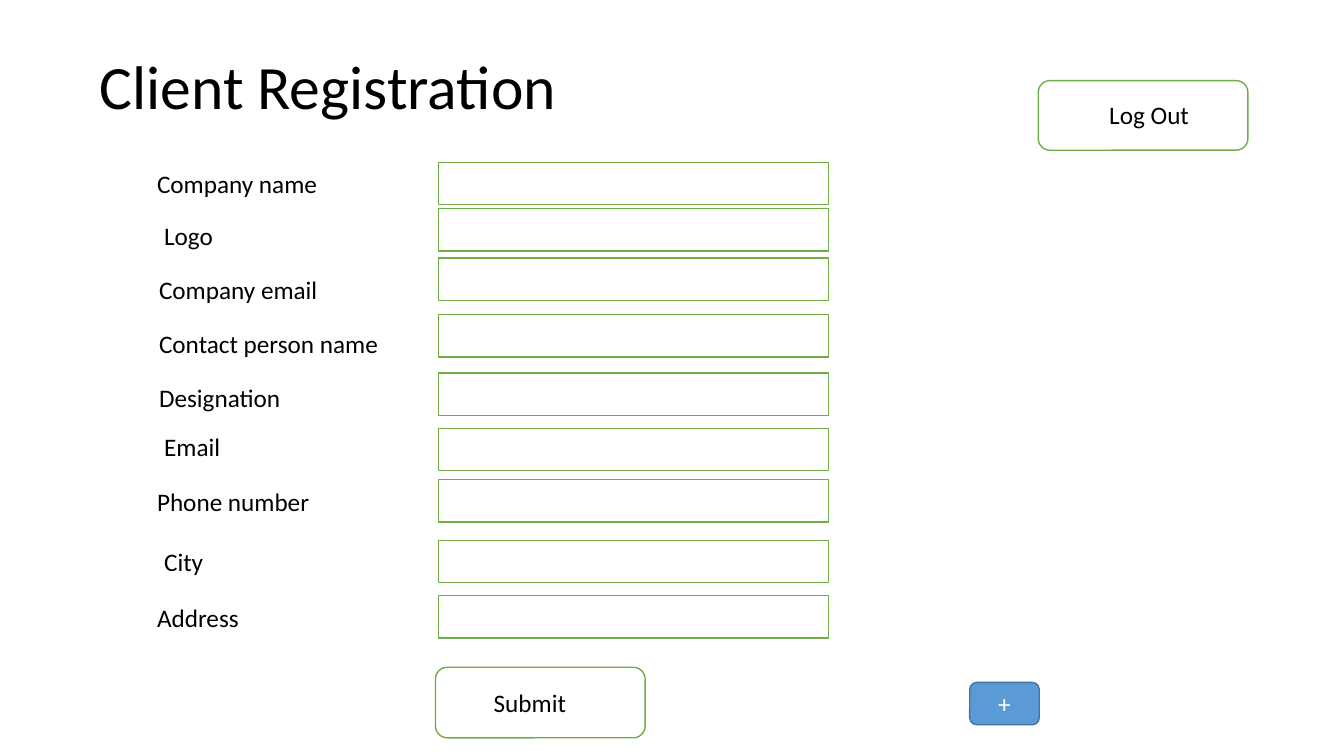
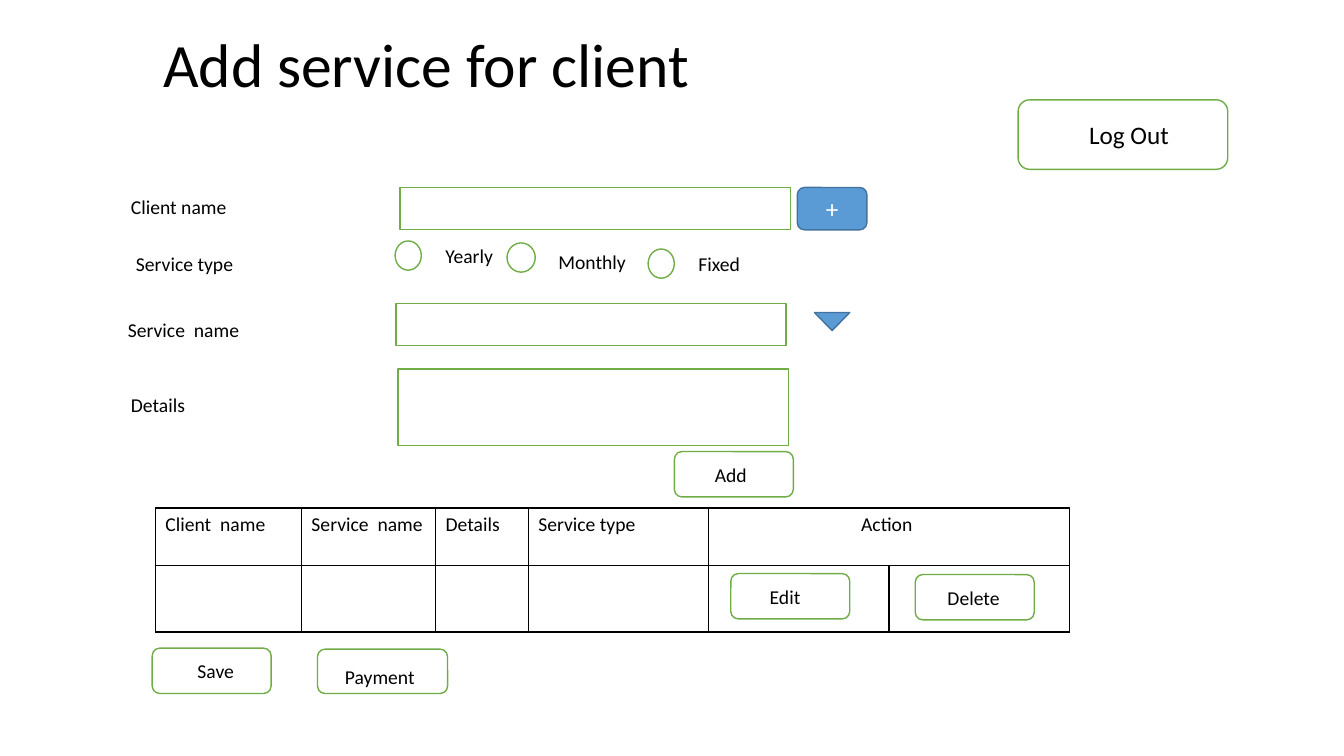
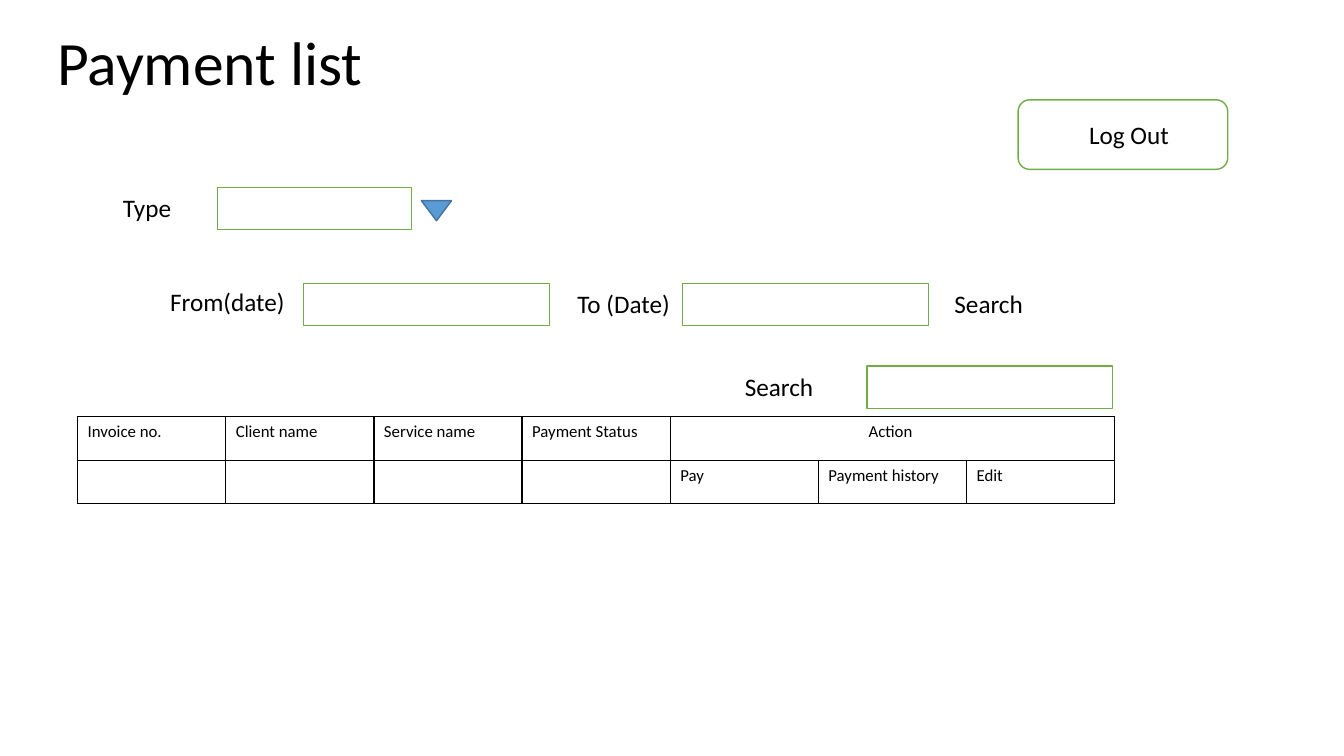
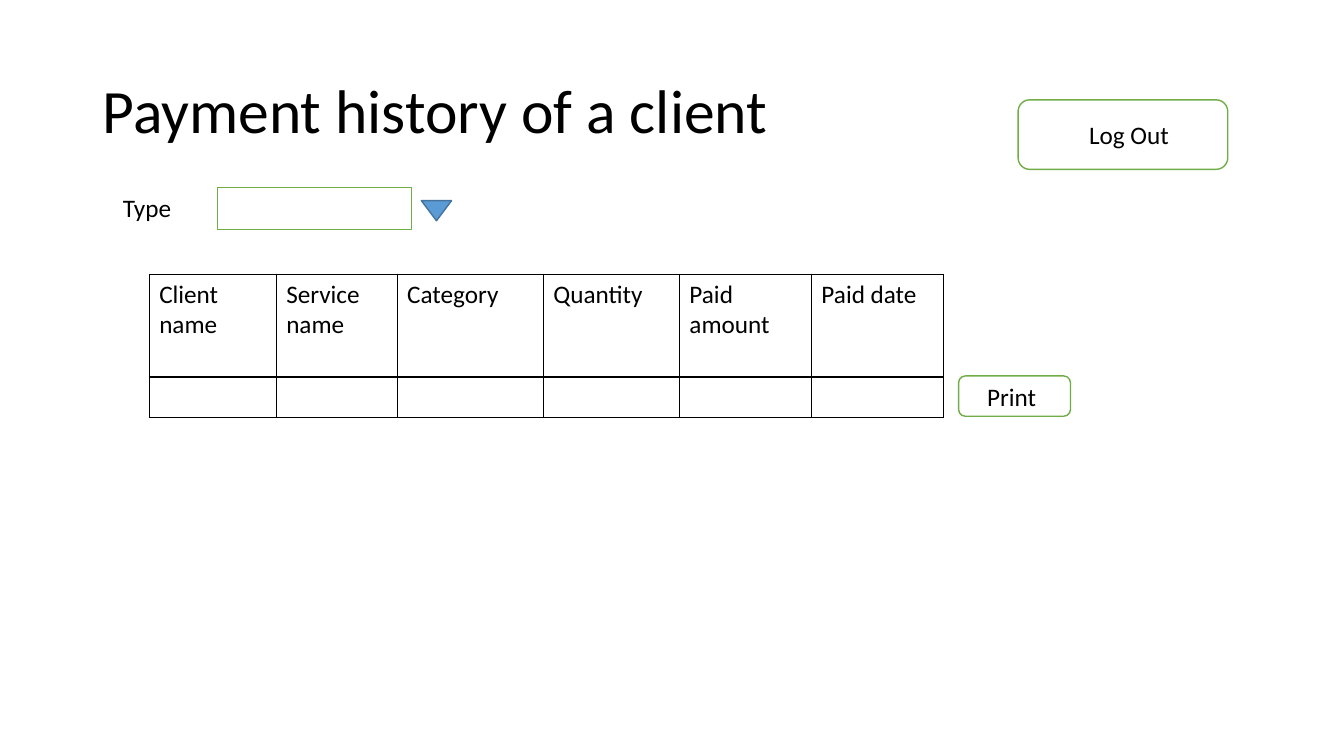
"""Build the wireframes of a client, service and payment screen set."""
from dataclasses import dataclass
from typing import Any, NamedTuple

from lxml.etree import SubElement
from pptx import Presentation
from pptx.dml.color import RGBColor
from pptx.enum.shapes import MSO_SHAPE
from pptx.enum.text import MSO_ANCHOR, MSO_AUTO_SIZE, PP_ALIGN
from pptx.oxml.ns import qn
from pptx.slide import Slide
from pptx.util import Inches, Pt

COLOURS = {"ink": "000000", "paper": "FFFFFF", "green": "70AD47", "blue": "5B9BD5", "edge": "43739E"}
FONT = "Calibri"
CELL = 0.1
COLUMNS, ROWS = 133.33, 75
FIELD_HEIGHT = 4.2
LABEL_HEIGHTS = {18: 4, 14: 3.4}


class Place(NamedTuple):
    """Left, top, width and height in grid columns and rows."""
    left: float
    top: float
    width: float
    height: float


@dataclass(frozen=True)
class Label:
    """A line of text in its own box."""
    text: str
    left: float
    top: float
    width: float
    size: int = 18
    align: PP_ALIGN = PP_ALIGN.LEFT
    wrap: bool = True


@dataclass(frozen=True)
class Button:
    """A rounded outline with a caption set at an offset from its corner."""
    caption: str
    place: Place
    shift: tuple[float, float]
    width: float
    size: int = 18


@dataclass(frozen=True)
class Grid:
    """A table with a header row, where the last heading may span columns."""
    left: float
    top: float
    widths: list[float]
    heights: list[float]
    size: int
    rows: list[list[str]]
    span_from: int = 0


def grid(value: float) -> int:
    """Turn grid cells into a length."""
    return Inches(value * CELL)


def colour(name: str) -> RGBColor:
    """Look up a named colour."""
    return RGBColor.from_string(COLOURS[name])


def assign(target: Any, formats: dict[str, Any]) -> None:
    """Set each format value on the target."""
    for name, value in formats.items():
        setattr(target, name, value)


def write(para: Any, text: str, size: int, ink: str = "ink", align: PP_ALIGN = PP_ALIGN.LEFT) -> None:
    """Write one formatted span into a paragraph."""
    para.alignment = align
    span = para.add_run()
    span.text = text
    assign(span.font, {"name": FONT, "size": Pt(size), "bold": False})
    span.font.color.rgb = colour(ink)


def add_title(page: Slide, text: str, place: Place) -> None:
    """Add the slide heading."""
    frame = page.shapes.add_textbox(*map(grid, place)).text_frame
    assign(frame, {"word_wrap": True, "vertical_anchor": MSO_ANCHOR.MIDDLE})
    frame.paragraphs[0].line_spacing = 0.9
    write(frame.paragraphs[0], text, 44)


def add_label(page: Slide, label: Label) -> None:
    """Add a label sized to one line."""
    place = Place(label.left, label.top, label.width, LABEL_HEIGHTS[label.size])
    frame = page.shapes.add_textbox(*map(grid, place)).text_frame
    assign(frame, {"word_wrap": label.wrap, "auto_size": MSO_AUTO_SIZE.SHAPE_TO_FIT_TEXT})
    write(frame.paragraphs[0], label.text, label.size, align=label.align)


def add_figure(page: Slide, kind: MSO_SHAPE, place: Place, fill: str = "paper", line: str = "green") -> Any:
    """Add a filled and outlined preset shape."""
    shape = page.shapes.add_shape(kind, *map(grid, place))
    shape.shadow.inherit = False
    shape.fill.solid()
    shape.fill.fore_color.rgb = colour(fill)
    shape.line.color.rgb = colour(line)
    shape.line.width = Pt(1)
    return shape


def add_field(page: Slide, left: float, top: float, width: float, height: float = FIELD_HEIGHT) -> None:
    """Add an empty input field."""
    add_figure(page, MSO_SHAPE.RECTANGLE, Place(left, top, width, height))


def add_button(page: Slide, button: Button) -> None:
    """Add a button and its caption."""
    add_figure(page, MSO_SHAPE.ROUNDED_RECTANGLE, button.place)
    left, top = button.place.left + button.shift[0], button.place.top + button.shift[1]
    add_label(page, Label(button.caption, left, top, button.width, button.size, PP_ALIGN.CENTER))


def add_small_button(page: Slide, caption: str, left: float, top: float, shift: float = 0) -> None:
    """Add a button of the small size."""
    add_button(page, Button(caption, Place(left, top, 11.8, 4.5), (shift, 0.6), 11.2, 14))


def add_log_out(page: Slide, left: float = 101, top: float = 9.9) -> None:
    """Add the log out button."""
    add_button(page, Button("Log Out", Place(left, top, 20.8, 6.9), (1.15, 1.4), 19.7))


def add_plus(page: Slide, left: float, top: float) -> None:
    """Add the blue plus button."""
    place = Place(left, top, 6.9, FIELD_HEIGHT)
    shape = add_figure(page, MSO_SHAPE.ROUNDED_RECTANGLE, place, "blue", "edge")
    shape.text_frame.vertical_anchor = MSO_ANCHOR.MIDDLE
    write(shape.text_frame.paragraphs[0], "+", 18, "paper", PP_ALIGN.CENTER)


def add_arrow(page: Slide, place: Place) -> None:
    """Add the downward marker of a drop-down list."""
    add_figure(page, MSO_SHAPE.ISOSCELES_TRIANGLE, place, "blue", "edge").rotation = 180


def add_type_picker(page: Slide) -> None:
    """Add the type label with its drop-down list."""
    add_label(page, Label("Type", 11.2, 18.6, 9.4))
    add_field(page, 21.6, 18.6, 19.2)
    add_arrow(page, Place(41.8, 19.9, 3, 2))


def outline_cell(cell: Any) -> None:
    """Clear the fill of a cell and rule its four sides."""
    properties = cell._tc.get_or_add_tcPr()
    for side in ("lnL", "lnR", "lnT", "lnB"):
        line = SubElement(properties, qn(f"a:{side}"), w=str(Pt(1)))
        fill = SubElement(line, qn("a:solidFill"))
        SubElement(fill, qn("a:srgbClr"), val=COLOURS["ink"])
    cell.fill.background()


def add_grid(page: Slide, spec: Grid) -> None:
    """Add a ruled table."""
    place = Place(spec.left, spec.top, sum(spec.widths), sum(spec.heights))
    table = page.shapes.add_table(len(spec.heights), len(spec.widths), *map(grid, place)).table
    assign(table, {"first_row": False, "horz_banding": False})
    for column, width in zip(table.columns, spec.widths):
        column.width = grid(width)
    for row, height in zip(table.rows, spec.heights):
        row.height = grid(height)
    for cell in table.iter_cells():
        outline_cell(cell)
    if spec.span_from:
        table.cell(0, spec.span_from).merge(table.cell(0, len(spec.widths) - 1))
    for row_index, texts in enumerate(spec.rows):
        for column_index, text in enumerate(texts):
            if text:
                spanning = row_index == 0 and 0 < spec.span_from == column_index
                align = PP_ALIGN.CENTER if spanning else PP_ALIGN.LEFT
                write(table.cell(row_index, column_index).text_frame.paragraphs[0], text, spec.size, align=align)


def build_registration(page: Slide) -> None:
    """Draw the client registration form."""
    add_title(page, "Client Registration", Place(8.9, 1.6, 115, 14.5))
    entries = [
        ("Company name", 14.6, 16.2, 16.1), ("Logo", 15.3, 21.4, 20.7),
        ("Company email", 14.8, 26.7, 25.6), ("Contact person name", 14.8, 32.1, 31.2),
        ("Designation", 14.8, 37.4, 37), ("Email", 15.3, 42.3, 42.5),
        ("Phone number", 14.6, 47.8, 47.6), ("City", 15.3, 53.7, 53.6),
        ("Address", 14.6, 59.3, 59.1),
    ]
    for caption, left, label_top, field_top in entries:
        add_label(page, Label(caption, left, label_top, 26))
        add_field(page, 43.5, field_top, 38.7)
    add_button(page, Button("Submit ", Place(43.2, 66.2, 20.8, 7), (-0.2, 1.5), 19.7))
    add_log_out(page, 103, 8)
    add_plus(page, 96.2, 67.7)


def build_service(page: Slide) -> None:
    """Draw the form that adds a service."""
    add_title(page, "Add service for client", Place(15.2, -0.6, 55.3, 14.5))
    add_grid(page, Grid(15.4, 50.4, [14.5, 13.3, 9.2, 17.9, 17.9, 17.9], [5.7, 6.6], 14,
                        [["Client  name", "Service  name", "Details", "Service type", "Action "]], 4))
    add_log_out(page)
    add_button(page, Button("Payment ", Place(31.5, 64.4, 12.9, 4.4), (1.4, 1.1), 10, 14))
    small_buttons = [("Save", 15.1, 64.3, 0.7), ("Add", 66.9, 44.8, 0),
                     ("Delete ", 90.8, 57, 0.4), ("Edit ", 72.5, 56.9, 0)]
    for caption, left, top, shift in small_buttons:
        add_small_button(page, caption, left, top, shift)
    labels = [("Client name", 12, 18.8, 18.7, True), ("Service  name", 11.7, 31.1, 26, True),
              ("Details", 12, 38.5, 19.2, True), ("Service type", 12.5, 24.5, 11.8, False),
              ("Yearly", 43.2, 23.7, 7.2, False), ("Monthly", 54.4, 24.3, 9.2, False),
              ("Fixed", 68.3, 24.5, 6.6, False)]
    for text, left, top, width, wrap in labels:
        add_label(page, Label(text, left, top, width, 14, wrap=wrap))
    for left, top, height in [(39.7, 18.6, FIELD_HEIGHT), (39.3, 30.1, FIELD_HEIGHT), (39.5, 36.6, 7.6)]:
        add_field(page, left, top, 38.7, height)
    for left, top, width in [(39.2, 23.9, 2.6), (50.3, 24.1, 2.8), (64.3, 24.7, 2.6)]:
        add_figure(page, MSO_SHAPE.OVAL, Place(left, top, width, 2.9))
    add_arrow(page, Place(80.8, 31, 3.5, 1.8))
    add_plus(page, 79.1, 18.6)


def build_payments(page: Slide) -> None:
    """Draw the payment list."""
    add_title(page, "Payment list", Place(4.7, 1.7, 34, 9.6))
    add_type_picker(page)
    add_log_out(page)
    add_grid(page, Grid(7.7, 41.3, [14.7] * 7, [4.35, 4.3], 12,
                        [["Invoice no.", "Client name", "Service name", "Payment Status", "Action "],
                         ["", "", "", "", "Pay", "Payment history", "Edit"]], 4))
    for left, top in [(30.1, 28.1), (67.7, 28.1), (86, 36.3)]:
        add_field(page, left, top, 24.4)
    for text, left, top, width in [("From(date)", 15.9, 27.9, 14.3), ("To (Date)", 56.3, 28.1, 12.5),
                                   ("Search", 93.7, 28.1, 12.5), ("Search", 72.9, 36.3, 12.5)]:
        add_label(page, Label(text, left, top, width))


def build_history(page: Slide) -> None:
    """Draw the payment history of one client."""
    add_title(page, "Payment history of a client", Place(9.2, 4, 115, 14.5))
    add_grid(page, Grid(14.8, 27.2, [12.6, 12, 14.5, 13.5, 13.1, 13.1], [10.2, 4.05], 18,
                        [["Client name", "Service name", "Category", "Quantity", "Paid amount", "Paid date"]]))
    add_button(page, Button("Print ", Place(95.1, 37.3, 11.1, 4), (0, 0), 11.1))
    add_type_picker(page)
    add_log_out(page)


def main() -> None:
    """Build and save the deck."""
    deck = Presentation()
    assign(deck, {"slide_width": grid(COLUMNS), "slide_height": grid(ROWS)})
    for build in (build_registration, build_service, build_payments, build_history):
        build(deck.slides.add_slide(deck.slide_layouts[6]))
    deck.save("out.pptx")


if __name__ == "__main__":
    main()
